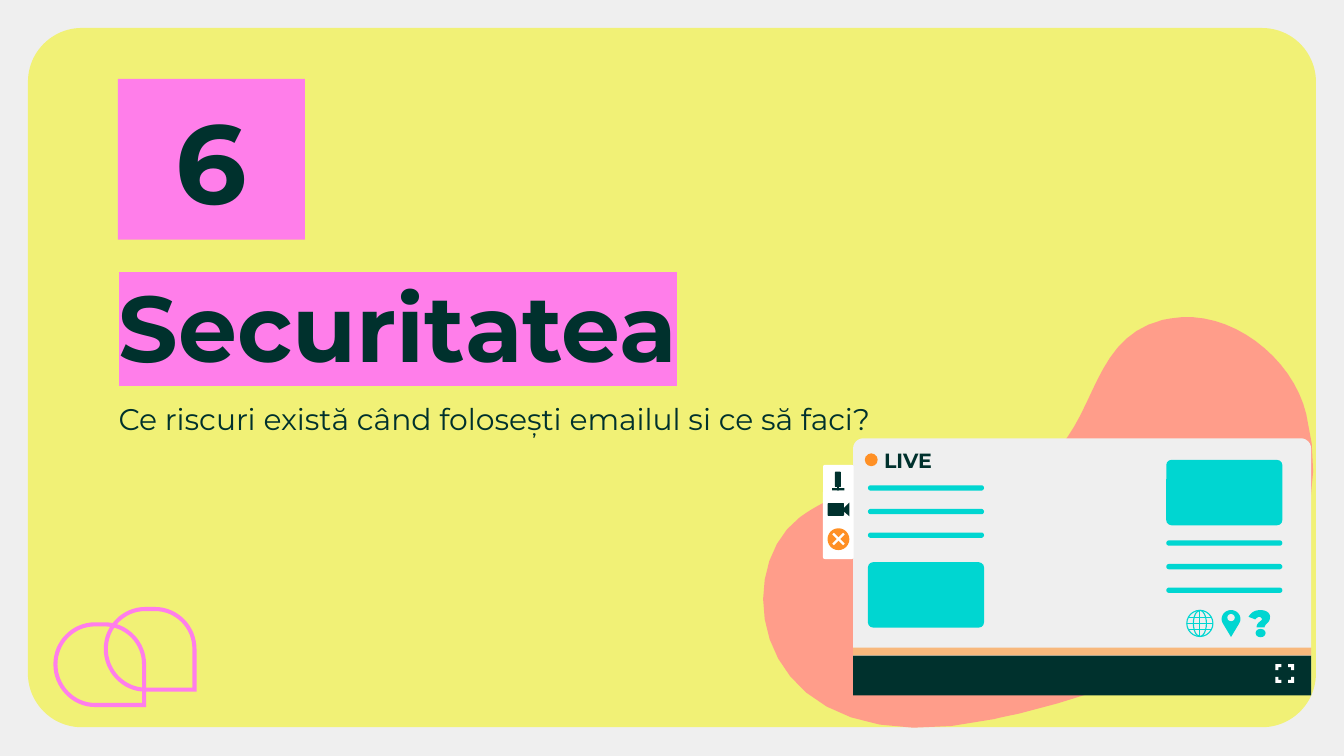
import pptx
import pptx.util
import pptx.dml.color
import pptx.enum.shapes
import pptx.enum.text
import pptx.oxml.ns
from lxml import etree

Pt = pptx.util.Pt
SHAPE = pptx.enum.shapes.MSO_SHAPE
ALIGN = pptx.enum.text.PP_ALIGN
ANCHOR = pptx.enum.text.MSO_ANCHOR
qn = pptx.oxml.ns.qn

FONT = "Montserrat"
DARK, PINK, YELLOW, GREY = "00312D", "FF7EEA", "F1F176", "EFEFEF"
SALMON, TEAL, ORANGE, WHITE = "FF9D8A", "00D6D1", "FF9025", "FFFFFF"

BLOB = [
    (622.8, 171.4),
    (579.6, 182.2, 589, 236.2, 550.1, 252),
    (546.5, 253.4, 542.9, 254.9, 539.3, 255.6),
    (513.4, 262.1, 487.4, 255.6, 460.1, 262.1),
    (450, 265, 439.2, 269.3, 428.4, 277.2),
    (388.8, 306.7, 402.5, 413.3, 532.8, 385.2),
    (537.8, 383.8, 543.6, 383, 548.6, 381.6),
    (645.8, 357.8, 721.4, 308.2, 699.8, 221.8),
    (692.6, 191.5, 658.8, 164.9, 627.1, 170.6),
]
PIN = [
    (659.5, 341.3),
    (655.2, 334.1),
    (653.2, 331, 655.5, 326.9, 659.5, 326.9),
    (663.5, 326.9, 665.8, 331, 663.8, 334.1),
]
QUESTION = [
    (675.4, 326.9),
    (671.8, 326.9, 670.3, 328.3, 668.9, 330.5),
    (672.5, 331.9),
    (673.2, 331.2, 673.9, 330.5, 674.6, 330.5),
    (675.4, 330.5, 676.1, 331.2, 676.1, 331.9),
    (676.1, 332.6, 673.2, 333.4, 673.2, 336.2),
    (677.5, 336.2),
    (677.5, 334.1, 680.4, 334.1, 680.4, 330.5),
    (680.4, 328.3, 678.2, 326.9, 675.4, 326.9),
]


def rgb(color):
    return pptx.dml.color.RGBColor.from_string(color)


def paint(sp, color):
    sp.shadow.inherit = False
    sp.fill.solid()
    sp.fill.fore_color.rgb = rgb(color)
    sp.line.fill.background()
    return sp


def add_block(shapes, kind, box, color, adj=None):
    sp = shapes.add_shape(kind, *map(Pt, box))
    if adj is not None:
        sp.adjustments[0] = adj
    return paint(sp, color)


def add_ring(shapes, box, color, width):
    sp = shapes.add_shape(SHAPE.OVAL, *map(Pt, box))
    sp.shadow.inherit = False
    sp.fill.background()
    sp.line.color.rgb = rgb(color)
    sp.line.width = Pt(width)


def add_line(shapes, ends, color, width):
    line = shapes.add_connector(pptx.enum.shapes.MSO_CONNECTOR.STRAIGHT, *map(Pt, ends))
    line.line.color.rgb = rgb(color)
    line.line.width = Pt(width)
    etree.SubElement(line._element.spPr, qn("a:effectLst"))


def flatten(contour, steps=16):
    points = []
    for segment in contour:
        if len(segment) == 2:
            points.append(segment)
            continue
        start = points[-1]
        controls = (start, segment[:2], segment[2:4], segment[4:])
        for i in range(1, steps + 1):
            t = i / steps
            weights = ((1 - t) ** 3, 3 * t * (1 - t) ** 2, 3 * t * t * (1 - t), t ** 3)
            points.append(tuple(sum(w * c[axis] for w, c in zip(weights, controls)) for axis in (0, 1)))
    return [(Pt(x), Pt(y)) for x, y in points]


def add_outline(shapes, contours, color):
    first, *others = [flatten(contour) for contour in contours]
    builder = shapes.build_freeform(*first[0], scale=1.0)
    builder.add_line_segments(first[1:], close=True)
    for points in others:
        builder.move_to(*points[0])
        builder.add_line_segments(points[1:], close=True)
    return paint(builder.convert_to_shape(), color)


def drop(x, y, inset):
    left, top = x + inset, y + inset
    right, bottom = x + 49.7 - inset, y + 45.4 - inset
    middle, bend = y + 22.5, 12.3 - inset / 2
    return [
        (right, bottom),
        (right, middle),
        (right, middle - bend, x + 27.4 + bend, top, x + 27.4, top),
        (x + 22.3, top),
        (x + 22.3 - bend, top, left, middle - bend, left, middle),
        (left, middle + bend, x + 22.3 - bend, bottom, x + 22.3, bottom),
    ]


def write(sp, text, size, bold=False, align=ALIGN.LEFT, anchor=ANCHOR.TOP, inset=7.2, wrap=True):
    tf = sp.text_frame
    tf.word_wrap = wrap
    tf.auto_size = pptx.enum.text.MSO_AUTO_SIZE.NONE
    tf.vertical_anchor = anchor
    tf.margin_left = tf.margin_right = tf.margin_top = tf.margin_bottom = Pt(inset)
    p = tf.paragraphs[0]
    p.alignment = align
    r = p.add_run()
    r.text = text
    r.font.size = Pt(size)
    r.font.bold = bold
    r.font.color.rgb = rgb(DARK)
    r.font.name = FONT
    return r


def highlight(r, color):
    mark = etree.Element(qn("a:highlight"))
    etree.SubElement(mark, qn("a:srgbClr")).set("val", color)
    r._r.rPr.find(qn("a:solidFill")).addnext(mark)


def add_text(shapes, box, text, size, **style):
    write(shapes.add_textbox(*map(Pt, box)), text, size, **style)


def add_title(s, box, text):
    title = s.shapes.title
    title.left, title.top, title.width, title.height = map(Pt, box)
    highlight(write(title, text, 50, bold=True), PINK)


def add_column(shapes, x, card_top, line_top):
    add_block(shapes, SHAPE.ROUNDED_RECTANGLE, (x, card_top, 62.2, 35), TEAL, 0.08)
    for i in range(3):
        add_block(shapes, SHAPE.ROUNDED_RECTANGLE, (x, line_top + 12.65 * i, 62.2, 2.9), TEAL, 0.5)


def add_globe(shapes, x, y, size):
    add_ring(shapes, (x, y, size, size), TEAL, 0.6)
    add_ring(shapes, (x + size / 4, y, size / 2, size), TEAL, 0.6)
    add_line(shapes, (x + size / 2, y, x + size / 2, y + size), TEAL, 0.6)
    for share, indent in ((0.27, 0.9), (0.5, 0), (0.73, 0.9)):
        level = y + size * share
        add_line(shapes, (x + indent, level, x + size - indent, level), TEAL, 0.6)


def add_call_controls(shapes):
    add_block(shapes, SHAPE.ROUNDED_RECTANGLE, (440.9, 249.1, 16.4, 50.4), WHITE, 0.06)
    add_block(shapes, SHAPE.ROUNDED_RECTANGLE, (447.3, 252.7, 3.2, 8.2), DARK, 0.15)
    add_block(shapes, SHAPE.RECTANGLE, (448.5, 258.5, 0.9, 4.3), DARK)
    add_block(shapes, SHAPE.RECTANGLE, (445.8, 261.5, 6.6, 1.3), DARK)
    add_block(shapes, SHAPE.ROUNDED_RECTANGLE, (443.4, 269.5, 8.8, 6.9), DARK, 0.08)
    add_outline(shapes, [[(455, 269.3), (452.2, 272), (452.2, 274.2), (455, 276.6)]], DARK)
    add_block(shapes, SHAPE.OVAL, (443.3, 283, 11.7, 11.7), ORANGE)
    for top, bottom in ((285.9, 291.7), (291.7, 285.9)):
        add_line(shapes, (446.3, top, 452.1, bottom), WHITE, 1.2)


def add_fullscreen_icon(shapes, x, y):
    bracket = ((5, 5), (5, 1.8), (3.4, 1.8), (3.4, 3.4), (1.8, 3.4), (1.8, 5))
    for dx in (-1, 1):
        for dy in (-1, 1):
            add_outline(shapes, [[(x + dx * a, y + dy * b) for a, b in bracket]], WHITE)


def add_screen(shapes):
    add_outline(shapes, [BLOB], SALMON)
    add_block(shapes, SHAPE.ROUNDED_RECTANGLE, (457, 234.8, 245.4, 137.5), GREY, 0.04)
    add_outline(shapes, [PIN], TEAL)
    add_block(shapes, SHAPE.OVAL, (657.5, 329, 4, 3.8), GREY)
    add_globe(shapes, 635.8, 327, 14)
    add_outline(shapes, [QUESTION], TEAL)
    add_block(shapes, SHAPE.OVAL, (672.6, 336.9, 5.4, 4.5), TEAL)
    add_call_controls(shapes)
    add_column(shapes, 465, 301.2, 260)
    add_column(shapes, 624.8, 246.4, 289.5)
    add_block(shapes, SHAPE.RECTANGLE, (457, 351.2, 245.4, 21.3), DARK)
    add_fullscreen_icon(shapes, 688.3, 360.8)
    strip = add_block(shapes, SHAPE.RECTANGLE, (457, 347, 245.4, 4.2), ORANGE)
    alpha = etree.SubElement(strip._element.spPr.find(qn("a:solidFill"))[0], qn("a:alpha"))
    alpha.set("val", "57000")
    add_text(shapes, (473.6, 239, 32, 15), "LIVE", 11, bold=True, anchor=ANCHOR.MIDDLE, inset=0, wrap=False)
    add_block(shapes, SHAPE.OVAL, (463.3, 242.9, 6.9, 6.9), ORANGE)


def main():
    prs = pptx.Presentation()
    prs.slide_width, prs.slide_height = Pt(720), Pt(405)
    s = prs.slides.add_slide(prs.slide_layouts[5])
    s.background.fill.solid()
    s.background.fill.fore_color.rgb = rgb(GREY)
    panel = add_block(s.shapes, SHAPE.ROUNDED_RECTANGLE, (15, 15, 690, 374.6), YELLOW, 0.077)
    s.shapes.title._element.addprevious(panel._element)
    add_title(s, (56.4, 137, 546.5, 66.2), "Securitatea")
    number = add_block(s.shapes, SHAPE.RECTANGLE, (63.2, 42.2, 100.2, 86.2), PINK)
    write(number, "6", 60, bold=True, align=ALIGN.CENTER, anchor=ANCHOR.MIDDLE)
    add_text(s.shapes, (56.4, 207.4, 458, 28.8), "Ce riscuri există când folosești emailul si ce să faci?", 16)
    for x, y in ((55.6, 325.2), (28.6, 333.4)):
        add_outline(s.shapes, [drop(x, y, 0), drop(x, y, 2.2)], PINK)
    add_screen(s.shapes.add_group_shape().shapes)
    prs.save("out.pptx")


if __name__ == "__main__":
    main()
